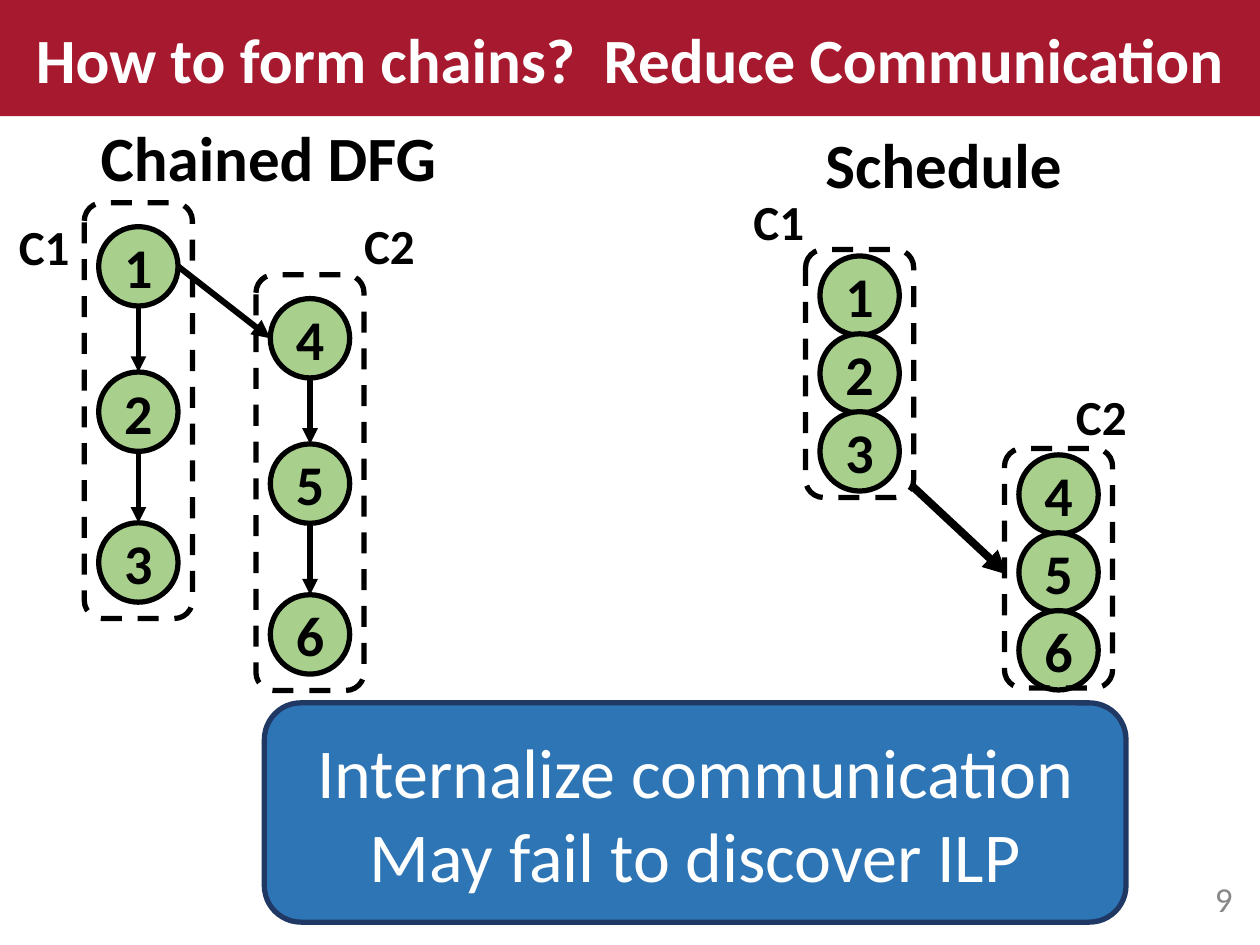
from lxml import etree
from pptx import Presentation
from pptx.dml.color import RGBColor
from pptx.enum.dml import MSO_LINE
from pptx.enum.shapes import MSO_CONNECTOR, MSO_SHAPE
from pptx.enum.text import MSO_ANCHOR, MSO_AUTO_SIZE, PP_ALIGN
from pptx.oxml.ns import qn
from pptx.util import Cm, Pt

OVAL, ROUNDED = MSO_SHAPE.OVAL, MSO_SHAPE.ROUNDED_RECTANGLE
STRAIGHT, DASH = MSO_CONNECTOR.STRAIGHT, MSO_LINE.DASH
LEFT, CENTER, RIGHT = PP_ALIGN.LEFT, PP_ALIGN.CENTER, PP_ALIGN.RIGHT
MIDDLE, TOP = MSO_ANCHOR.MIDDLE, MSO_ANCHOR.TOP
NO_AUTOFIT = MSO_AUTO_SIZE.NONE

FONT = "Calibri"
BLACK, WHITE, GREY = "000000", "FFFFFF", "888888"
RED, GREEN, BLUE, NAVY = "A6192E", "A8D08C", "2E75B6", "1F3864"
NODE = 1.6
CHAIN_WIDTH = 2.18
NODE_INSET = (CHAIN_WIDTH - NODE) / 2


def paint(color_owner, color):
    """Give a fill or line a solid colour from a hex string."""
    fill = getattr(color_owner, "fill", color_owner)
    fill.solid()
    fill.fore_color.rgb = RGBColor.from_string(color)


def write(holder, lines, size, color=BLACK, bold=False, align=LEFT, anchor=TOP, wrap=True):
    """Write formatted lines into a shape, one paragraph each."""
    frame = holder.text_frame
    frame.text = "\n".join(lines)
    frame.auto_size = NO_AUTOFIT
    frame.word_wrap = wrap
    frame.vertical_anchor = anchor
    for paragraph in frame.paragraphs:
        paragraph.alignment = align
        font = paragraph.font
        font.name, font.size, font.bold = FONT, Pt(size), bold
        font.color.rgb = RGBColor.from_string(color)


def add_label(slide, text, box, size, **style):
    """Add a text box at a (left, top, width, height) box in centimetres."""
    label = slide.shapes.add_textbox(*map(Cm, box))
    write(label, [text], size, **style)


def add_outline(slide, kind, box, fill=None, line=BLACK):
    """Add a 3 pt outlined shape, filled only when a fill is given."""
    shape = slide.shapes.add_shape(kind, *map(Cm, box))
    shape.shadow.inherit = False
    if fill:
        paint(shape, fill)
    else:
        shape.fill.background()
    paint(shape.line, line)
    shape.line.width = Pt(3)
    return shape


def add_arrow(slide, start, end, width=3):
    """Draw a black arrow between two points in centimetres."""
    arrow = slide.shapes.add_connector(STRAIGHT, *map(Cm, (*start, *end)))
    paint(arrow.line, BLACK)
    arrow.line.width = Pt(width)
    properties = arrow.line._get_or_add_ln()
    etree.SubElement(properties, qn("a:tailEnd"), type="triangle")
    etree.SubElement(arrow._element.spPr, qn("a:effectLst"))


def add_chain(slide, left, top, height, numbers, offsets, arrows=False):
    """Stack numbered nodes inside a dashed frame."""
    node_left = left + NODE_INSET
    middle = left + CHAIN_WIDTH / 2
    for number, offset in zip(numbers, offsets):
        node = add_outline(slide, OVAL, (node_left, top + offset, NODE, NODE), GREEN)
        frame = node.text_frame
        frame.margin_left = frame.margin_right = frame.margin_top = frame.margin_bottom = 0
        write(node, [number], 32, bold=True, align=CENTER, anchor=MIDDLE, wrap=False)
    if arrows:
        for upper, lower in zip(offsets, offsets[1:]):
            add_arrow(slide, (middle, top + upper + NODE), (middle, top + lower))
    frame = add_outline(slide, ROUNDED, (left, top, CHAIN_WIDTH, height))
    frame.line.dash_style = DASH


def add_title(slide, box):
    """Turn the title placeholder into the red banner."""
    title = slide.shapes.title
    title.left, title.top, title.width, title.height = map(Cm, box)
    paint(title, RED)
    heading = "How to form chains?  Reduce Communication"
    write(title, [heading], 36, color=WHITE, bold=True, align=CENTER, anchor=MIDDLE)


def add_chained_dfg(slide, left, top):
    """Draw the data-flow graph with its two chains."""
    offsets = (0.48, 3.41, 6.45)
    c1_left, c1_top = left + 1.57, top + 1.83
    c2_left, c2_top = left + 5.03, top + 3.28
    add_label(slide, "Chained DFG", (left + 1.65, top, 7.34, 1.8), 36, bold=True)
    add_chain(slide, c1_left, c1_top, 8.38, "123", offsets, arrows=True)
    add_chain(slide, c2_left, c2_top, 8.38, "456", offsets, arrows=True)
    node_middle = offsets[0] + NODE / 2
    add_arrow(slide, (c1_left + NODE_INSET + NODE, c1_top + node_middle),
              (c2_left + NODE_INSET, c2_top + node_middle), 3.5)
    add_label(slide, "C1", (left, top + 1.98, 1.55, 1.45), 28, bold=True, wrap=False)
    add_label(slide, "C2", (left + 6.96, top + 1.96, 1.55, 1.45), 28, bold=True, wrap=False)


def add_schedule(slide, left, top):
    """Draw the schedule with its two packed chains."""
    offsets = [0.13 + 1.57 * step for step in range(3)]
    add_label(slide, "Schedule", (left + 1.45, top, 5.33, 1.8), 36, bold=True)
    add_arrow(slide, (left + 3.43, top + 7.37), (left + 5.36, top + 9.17), 4.5)
    add_chain(slide, left + 1.3, top + 2.62, 5, "123", offsets)
    add_chain(slide, left + 5.31, top + 6.63, 4.83, "456", offsets)
    add_label(slide, "C1", (left, top + 1.32, 1.55, 1.45), 28, bold=True, wrap=False)
    add_label(slide, "C2", (left + 6.5, top + 5.26, 1.8, 1.45), 28, bold=True)


def add_takeaway(slide, box):
    """Add the blue conclusion panel."""
    takeaway = add_outline(slide, ROUNDED, box, BLUE, NAVY)
    lines = ["Internalize communication", "May fail to discover ILP"]
    write(takeaway, lines, 40, color=WHITE, align=CENTER, anchor=MIDDLE)


def main():
    """Build and save the slide."""
    deck = Presentation()
    deck.slide_width, deck.slide_height = Cm(25.4), Cm(19.05)
    slide = deck.slides.add_slide(deck.slide_layouts[5])
    add_title(slide, (0, 0, 25.4, 2.34))
    add_label(slide, "9", (19.38, 17.6, 5.72, 1.02), 20, color=GREY, align=RIGHT, anchor=MIDDLE)
    add_chained_dfg(slide, 0.13, 2.26)
    add_takeaway(slide, (5.33, 14.17, 17.37, 4.42))
    add_schedule(slide, 14.94, 2.41)
    deck.save("out.pptx")


if __name__ == "__main__":
    main()
